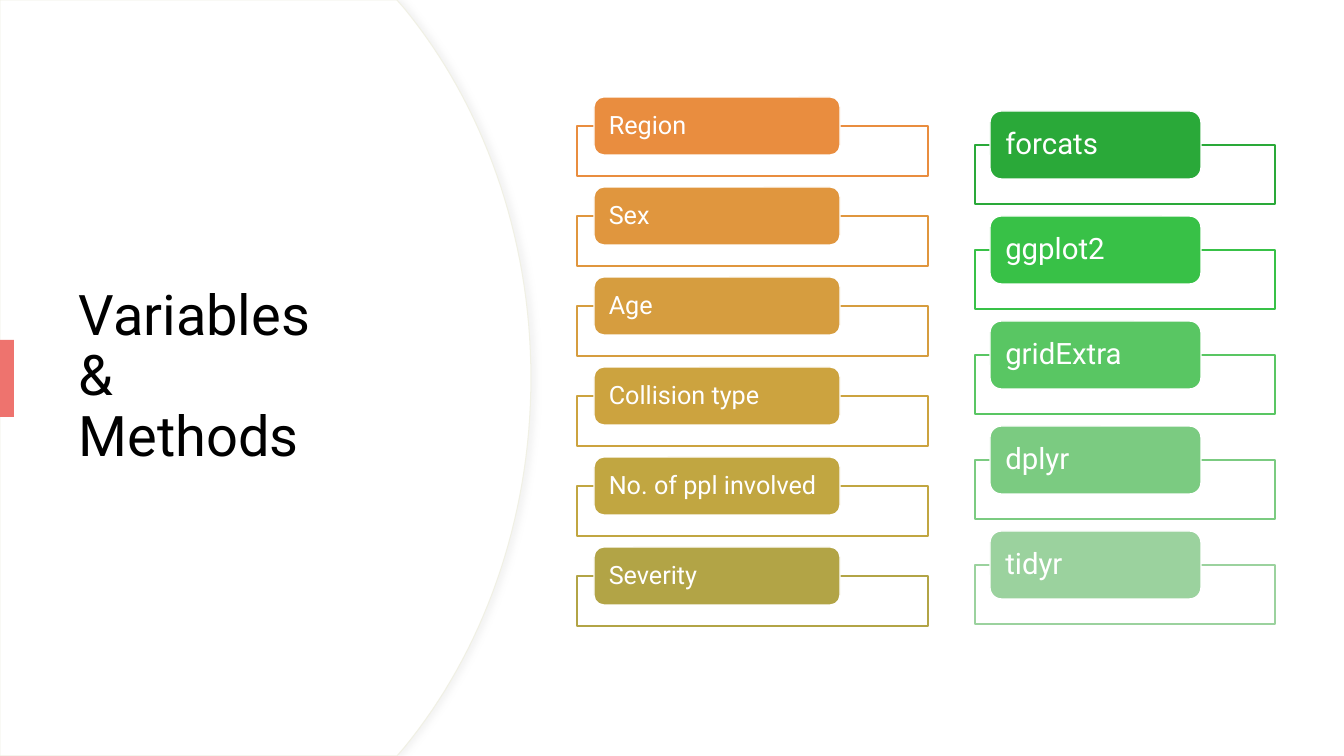
from dataclasses import dataclass

from lxml.etree import SubElement
from pptx import Presentation
from pptx.dml.color import RGBColor
from pptx.enum.shapes import MSO_SHAPE as Preset
from pptx.enum.text import MSO_ANCHOR as Anchor, PP_ALIGN as Align
from pptx.oxml.ns import qn
from pptx.util import Emu, Pt

TITLE = "Variables\v&\vMethods"
TITLE_BOX = (69, 128, 397, 499)
ACCENT_BOX = (0, 340, 14, 77)
ARC_START = (397, 0)
ARC_CURVE = ((404, 8), (482, 103), (531, 234), (531, 378))
ARC_STEPS = 32

METHODS = {
    "items": [
        ("forcats", "2AA939"),
        ("ggplot2", "38C147"),
        ("gridExtra", "59C663"),
        ("dplyr", "7BCB81"),
        ("tidyr", "9BD29E"),
    ],
    "frame": (975, 145, 300, 59),
    "label": (990, 111, 211, 68),
    "pitch": 105,
    "size": 21,
}
VARIABLES = {
    "items": [
        ("Region", "E98D3F"),
        ("Sex", "E0963E"),
        ("Age", "D69D3F"),
        ("Collision type", "CCA33F"),
        ("No. of ppl involved", "C1A641"),
        ("Severity", "B2A446"),
    ],
    "frame": (577, 126, 351, 50),
    "label": (594, 97, 246, 58),
    "pitch": 90,
    "size": 18,
}


@dataclass(frozen=True)
class Theme:
    font: str = "Roboto"
    white: str = "FFFFFF"
    title: str = "000000"
    accent: str = "EE736E"
    arc_line: str = "F0F0E4"
    arc_shadow: str = "D9D9D9"
    title_size: int = 40
    line_spacing: float = 0.9


THEME = Theme()
SLIDE_WIDTH, SLIDE_HEIGHT = 1344, 756
LABEL_INSET = 12


def px(length):
    return Emu(round(length * 914400 / 100.8))


def paint(shape, fill, line=None, width=1):
    shape.shadow.inherit = False
    shape.fill.solid()
    shape.fill.fore_color.rgb = RGBColor.from_string(fill)
    if line is None:
        shape.line.fill.background()
    else:
        shape.line.color.rgb = RGBColor.from_string(line)
        shape.line.width = Pt(width)


def add_box(slide, preset, box, fill, line=None):
    shape = slide.shapes.add_shape(preset, *map(px, box))
    paint(shape, fill, line)
    return shape


def write(shape, text, size, color):
    frame = shape.text_frame
    frame.word_wrap = True
    frame.vertical_anchor = Anchor.MIDDLE
    paragraph = frame.paragraphs[0]
    paragraph.text = text
    paragraph.alignment = Align.LEFT
    paragraph.line_spacing = THEME.line_spacing
    for run in paragraph.runs:
        run.font.name = THEME.font
        run.font.size = Pt(size)
        run.font.color.rgb = RGBColor.from_string(color)


def set_alpha(color, percent):
    SubElement(color, qn("a:alpha")).set("val", str(percent * 1000))


def add_shadow(shape, color, percent, blur, distance):
    effects = shape._element.spPr.find(qn("a:effectLst"))
    shadow = SubElement(effects, qn("a:outerShdw"))
    shadow.set("blurRad", str(Pt(blur)))
    shadow.set("dist", str(Pt(distance)))
    shadow.set("dir", "0")
    shade = SubElement(shadow, qn("a:srgbClr"))
    shade.set("val", color)
    set_alpha(shade, percent)


def curve_point(t):
    weights = ((1 - t) ** 3, 3 * t * (1 - t) ** 2, 3 * t**2 * (1 - t), t**3)
    return tuple(
        sum(weight * point[axis] for weight, point in zip(weights, ARC_CURVE))
        for axis in (0, 1)
    )


def add_arc(slide):
    upper = [ARC_START] + [curve_point(i / ARC_STEPS) for i in range(ARC_STEPS + 1)]
    lower = [(x, SLIDE_HEIGHT - y) for x, y in reversed(upper[:-1])]
    outline = upper + lower + [(0, SLIDE_HEIGHT)]
    builder = slide.shapes.build_freeform(0, 0)
    builder.add_line_segments([(px(x), px(y)) for x, y in outline], close=True)
    arc = builder.convert_to_shape()
    paint(arc, THEME.white, THEME.arc_line, 0.75)
    add_shadow(arc, THEME.arc_shadow, 30, 4, 3)


def add_list(slide, column):
    for index, (name, color) in enumerate(column["items"]):
        shift = index * column["pitch"]
        frame_box, label_box = (
            (left, top + shift, width, height)
            for left, top, width, height in (column["frame"], column["label"])
        )
        frame = add_box(slide, Preset.RECTANGLE, frame_box, THEME.white, color)
        fill_color = frame._element.spPr.find(qn("a:solidFill")).find(qn("a:srgbClr"))
        set_alpha(fill_color, 90)
        label = add_box(slide, Preset.ROUNDED_RECTANGLE, label_box, color, THEME.white)
        text_frame = label.text_frame
        text_frame.margin_left = text_frame.margin_right = px(LABEL_INSET)
        text_frame.margin_top = text_frame.margin_bottom = 0
        write(label, name, column["size"], THEME.white)


def main():
    presentation = Presentation()
    presentation.slide_width = px(SLIDE_WIDTH)
    presentation.slide_height = px(SLIDE_HEIGHT)
    slide = presentation.slides.add_slide(presentation.slide_layouts[6])
    add_arc(slide)
    title = slide.shapes.add_textbox(*map(px, TITLE_BOX))
    write(title, TITLE, THEME.title_size, THEME.title)
    add_box(slide, Preset.RECTANGLE, ACCENT_BOX, THEME.accent)
    for column in (METHODS, VARIABLES):
        add_list(slide, column)
    presentation.save("out.pptx")


if __name__ == "__main__":
    main()
